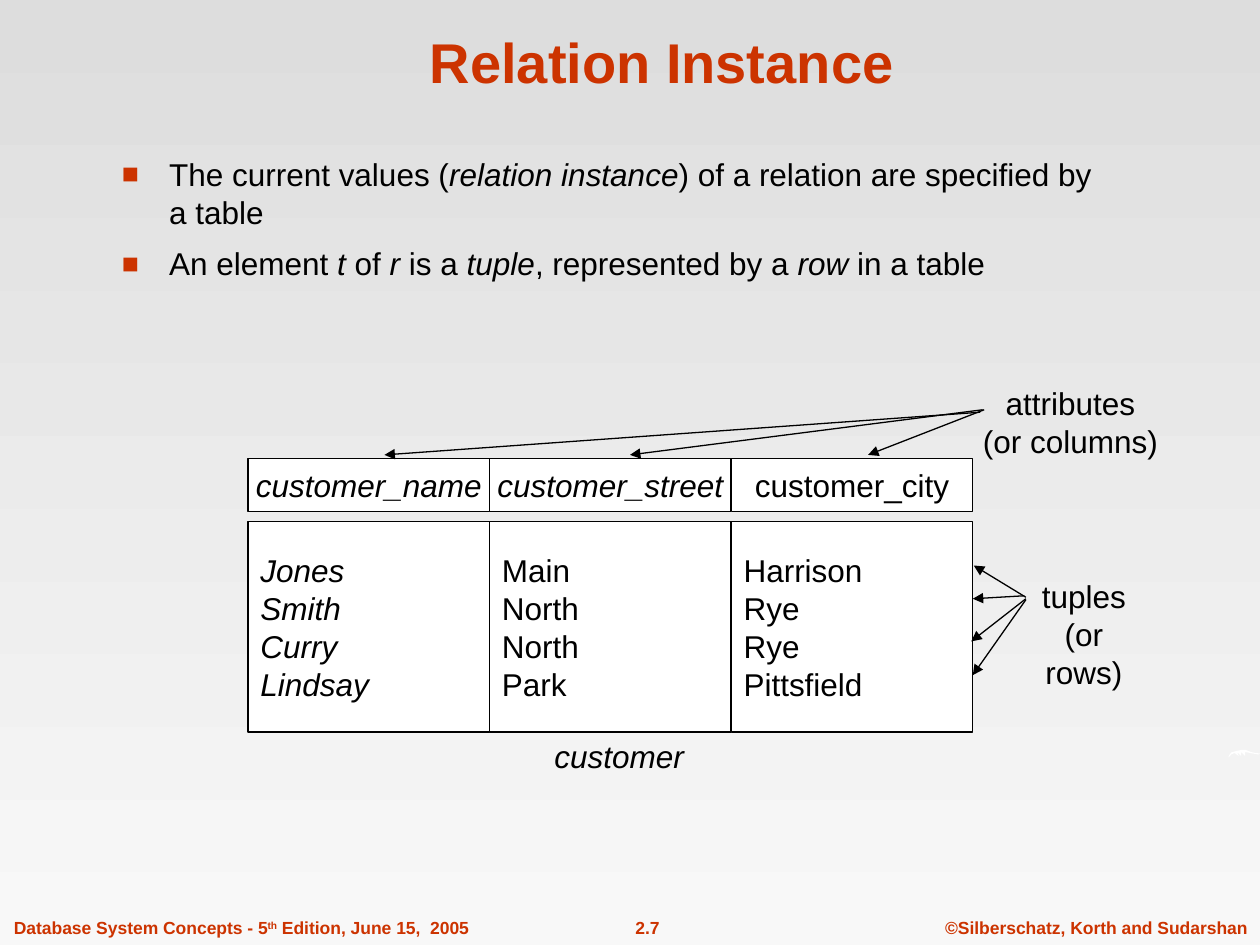
from dataclasses import dataclass

import lxml.etree
import pptx
import pptx.dml.color
import pptx.enum.shapes
import pptx.enum.text
import pptx.oxml.ns
import pptx.util

Cm = pptx.util.Cm
Pt = pptx.util.Pt
RGBColor = pptx.dml.color.RGBColor
Align = pptx.enum.text.PP_ALIGN
Anchor = pptx.enum.text.MSO_ANCHOR
Kind = pptx.enum.shapes.MSO_SHAPE
Link = pptx.enum.shapes.MSO_CONNECTOR
qn = pptx.oxml.ns.qn

RED = RGBColor(0xCC, 0x33, 0x00)
BLACK = RGBColor(0, 0, 0)
WHITE = RGBColor(255, 255, 255)
TOP = RGBColor(0xDD, 0xDD, 0xDD)
BASE = RGBColor(0xF8, 0xF8, 0xF8)

LEFT, PITCH = 5.0, 4.87
HEAD_TOP, HEAD_HIGH = 9.25, 1.07
BODY_TOP, BODY_HIGH = 10.52, 4.24


@dataclass
class Label:
    text: str
    x: float
    y: float
    wide: float
    high: float
    size: float = 18
    color: RGBColor = BLACK
    bold: bool = False
    raised: bool = False
    wrap: bool = False
    align: Align = Align.CENTER
    anchor: Anchor = Anchor.TOP


@dataclass
class Column:
    head: str
    rows: str


@dataclass
class Arrow:
    x: float
    y: float
    to_x: float
    to_y: float


LABELS = [
    Label("©Silberschatz, Korth and Sudarshan", 18.8, 18.36, 6.6, 0.69, 10, RED, True),
    Label("2.7", 11.81, 18.36, 2.49, 0.69, 10, RED, True),
    Label("Database System Concepts - 5*th* Edition, June 15,  2005",
          0.03, 18.36, 9.68, 0.69, 10, RED, True, raised=True, align=Align.LEFT),
    Label("Relation Instance", 2.13, 0.33, 22.43, 1.7, 32, RED, True,
          wrap=True, anchor=Anchor.BOTTOM),
    Label("*customer*", 10.92, 14.73, 3.12, 1.02, anchor=Anchor.MIDDLE),
    Label("attributes\n(or columns)", 19.56, 7.62, 4.04, 1.78),
    Label("tuples\n(or rows)", 20.35, 11.51, 3.0, 1.78),
]
POINTS = Label(
    "The current values (*relation instance*) of a relation are specified by a table\n"
    "An element *t* of *r* is a *tuple*, represented by a *row *in a table",
    2.21, 3.0, 20.57, 5.49, wrap=True, align=Align.LEFT)
COLUMNS = [
    Column("*customer_name*", "*Jones*\n*Smith*\n*Curry*\n*Lindsay*"),
    Column("*customer_street*", "Main\nNorth\nNorth\nPark"),
    Column("customer_city", "Harrison\nRye\nRye\nPittsfield"),
]
ARROWS = [
    Arrow(19.76, 8.31, 7.75, 9.17),
    Arrow(19.81, 8.26, 12.7, 9.17),
    Arrow(19.84, 8.26, 17.5, 9.17),
    Arrow(20.68, 12.04, 19.63, 11.4),
    Arrow(20.65, 12.01, 19.61, 12.07),
    Arrow(20.68, 12.07, 19.58, 12.93),
    Arrow(20.68, 12.09, 19.61, 13.61),
]
CURVE = [
    (24.77, 15.27), (24.77, 15.24), (24.82, 15.17), (24.92, 15.14), (25.02, 15.12),
    (25.12, 15.12), (25.22, 15.16), (25.3, 15.18), (25.4, 15.19), (25.37, 15.21),
    (25.25, 15.19), (25.1, 15.16), (25.1, 15.24), (25.02, 15.16), (25.02, 15.24),
    (24.94, 15.16), (24.97, 15.24), (24.89, 15.18), (24.82, 15.21),
]


def write(shape, item: Label) -> None:
    frame = shape.text_frame
    frame.word_wrap = item.wrap
    frame.vertical_anchor = item.anchor
    frame.text = item.text.replace("*", "")
    for par, line in zip(frame.paragraphs, item.text.split("\n")):
        par.text = ""
        par.alignment = item.align
        for i, part in enumerate(line.split("*")):
            if not part:
                continue
            run = par.add_run()
            run.text = part
            font = run.font
            font.name, font.size, font.bold = "Arial", Pt(item.size), item.bold
            font.color.rgb = item.color
            if i % 2 and item.raised:
                run._r.get_or_add_rPr().set("baseline", "30000")
            elif i % 2:
                font.italic = True


def label(slide, item: Label):
    box = slide.shapes.add_textbox(Cm(item.x), Cm(item.y), Cm(item.wide), Cm(item.high))
    write(box, item)
    return box


def bullet(par) -> None:
    props = par._p.get_or_add_pPr()
    props.set("marL", str(Cm(0.95)))
    props.set("indent", str(-Cm(0.95)))
    tint = lxml.etree.SubElement(props, qn("a:buClr"))
    lxml.etree.SubElement(tint, qn("a:srgbClr"), val=str(RED))
    lxml.etree.SubElement(props, qn("a:buSzPct"), val="90000")
    lxml.etree.SubElement(props, qn("a:buFont"), typeface="Arial")
    lxml.etree.SubElement(props, qn("a:buChar"), char="■")


def cell(slide, item: Label) -> None:
    box = slide.shapes.add_shape(
        Kind.RECTANGLE, Cm(item.x), Cm(item.y), Cm(item.wide), Cm(item.high))
    box.shadow.inherit = False
    box.fill.solid()
    box.fill.fore_color.rgb = WHITE
    box.line.color.rgb = BLACK
    box.line.width = Pt(0.75)
    write(box, item)


def arrow(slide, item: Arrow) -> None:
    line = slide.shapes.add_connector(
        Link.STRAIGHT, Cm(item.x), Cm(item.y), Cm(item.to_x), Cm(item.to_y))
    line.line.color.rgb = BLACK
    line.line.width = Pt(0.75)
    lxml.etree.SubElement(line.line._get_or_add_ln(), qn("a:tailEnd"), type="triangle")
    lxml.etree.SubElement(line._element.spPr, qn("a:effectLst"))


def curve(slide) -> None:
    start, *rest = [(Cm(x), Cm(y)) for x, y in CURVE]
    form = slide.shapes.build_freeform(*start)
    form.add_line_segments(rest)
    shape = form.convert_to_shape()
    shape.shadow.inherit = False
    shape.fill.solid()
    shape.fill.fore_color.rgb = WHITE
    shape.line.fill.background()


def main() -> None:
    deck = pptx.Presentation()
    deck.slide_width, deck.slide_height = Cm(25.4), Cm(19.05)
    slide = deck.slides.add_slide(deck.slide_layouts[6])
    fill = slide.background.fill
    fill.gradient()
    fill.gradient_angle = 270
    for stop, color, place in zip(fill.gradient_stops, (TOP, BASE), (0, 1)):
        stop.color.rgb = color
        stop.position = place

    curve(slide)
    for item in LABELS:
        label(slide, item)
    pars = label(slide, POINTS).text_frame.paragraphs
    for par in pars:
        bullet(par)
    pars[1].space_before = Pt(7.9)
    for i, col in enumerate(COLUMNS):
        x = LEFT + i * PITCH
        cell(slide, Label(col.rows, x, BODY_TOP, PITCH, BODY_HIGH,
                          align=Align.LEFT, anchor=Anchor.MIDDLE))
        cell(slide, Label(col.head, x, HEAD_TOP, PITCH, HEAD_HIGH, anchor=Anchor.MIDDLE))
    for item in ARROWS:
        arrow(slide, item)
    deck.save("out.pptx")


if __name__ == "__main__":
    main()
